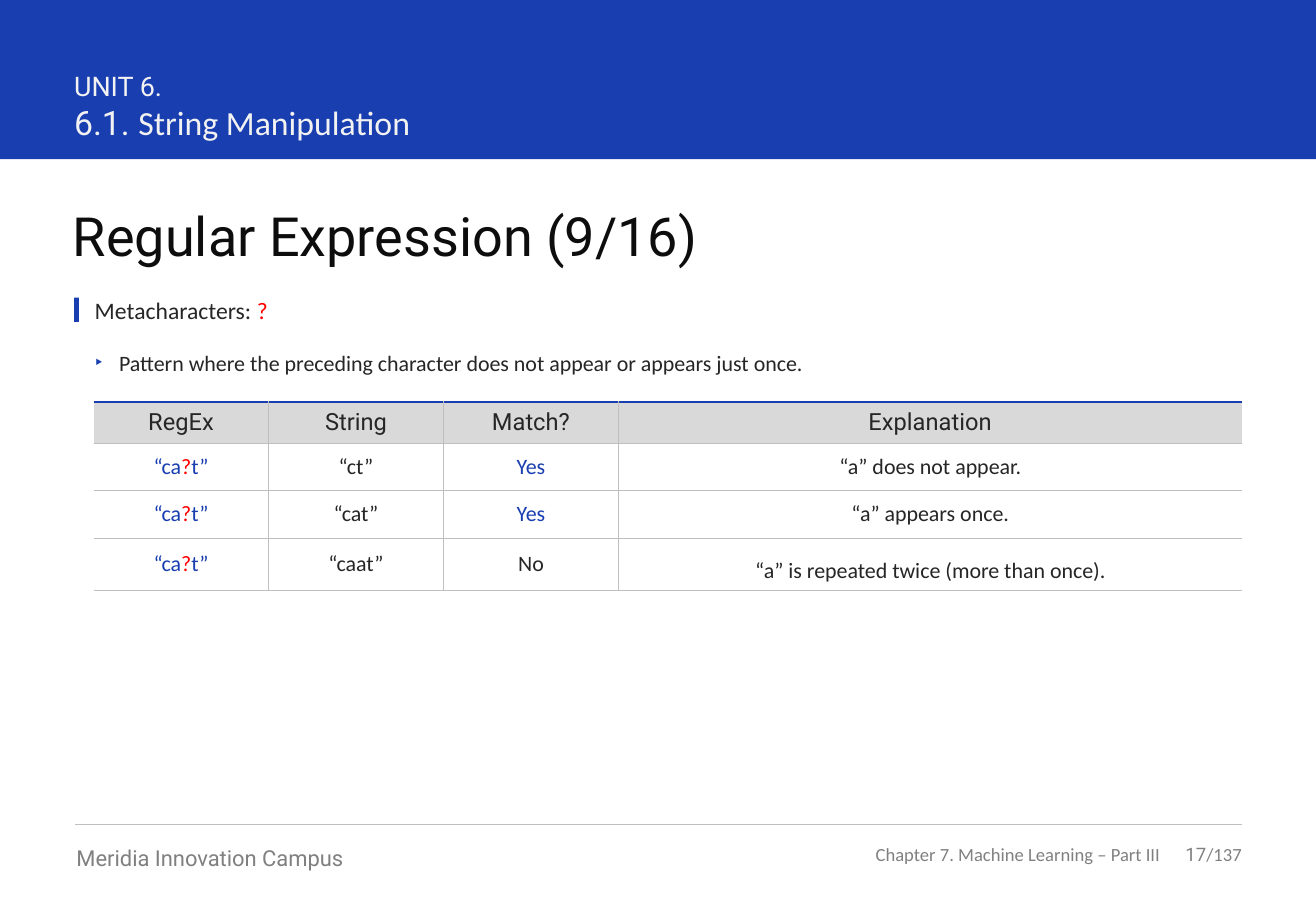
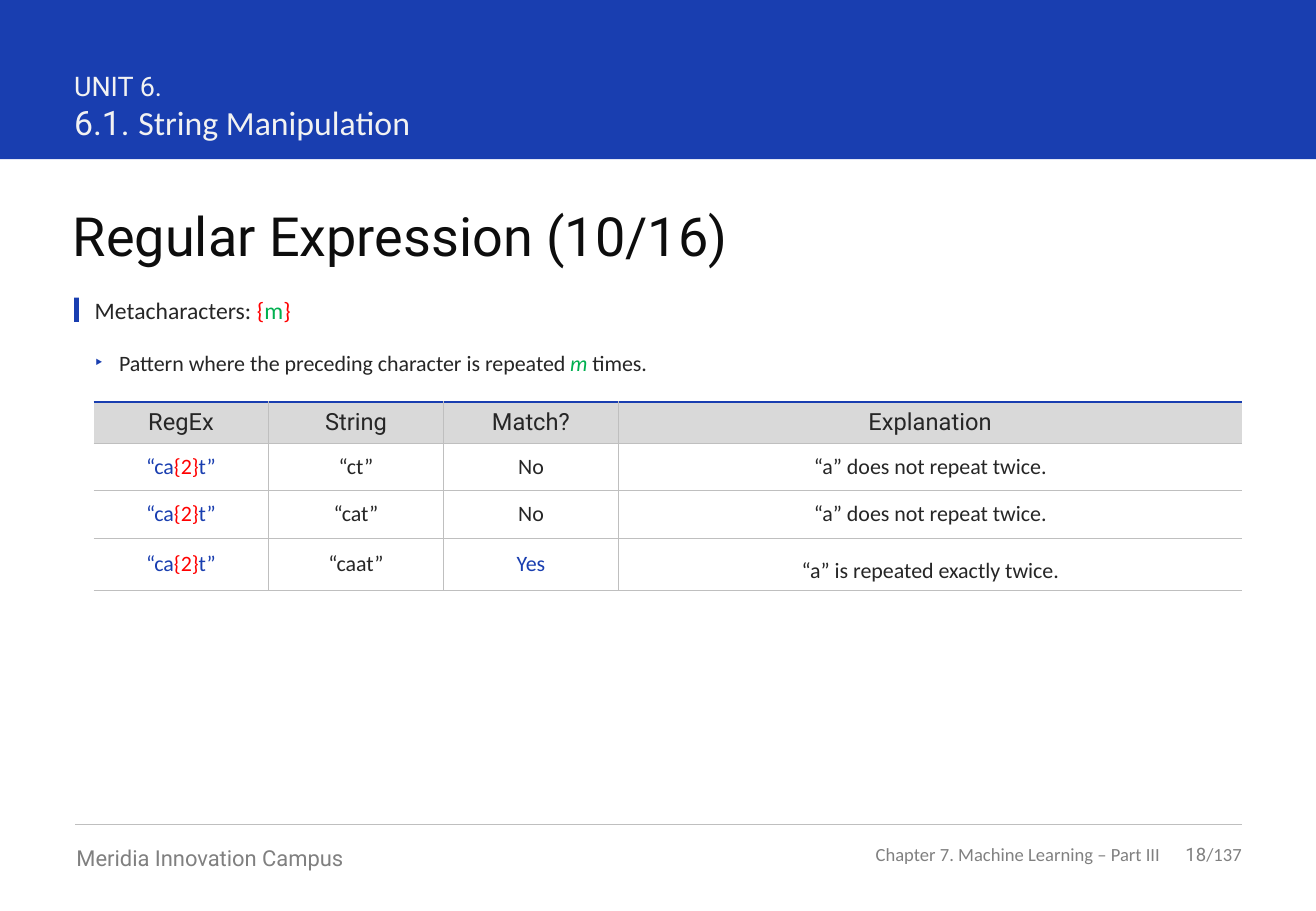
"""Build the two regular-expression slides on the metacharacters ? and {m}."""
from dataclasses import dataclass

from lxml.etree import SubElement
from pptx import Presentation
from pptx.dml.color import RGBColor
from pptx.enum.shapes import MSO_CONNECTOR, MSO_SHAPE
from pptx.enum.text import MSO_ANCHOR as Anchor, MSO_AUTO_SIZE as AutoSize, PP_ALIGN as Align
from pptx.oxml.ns import qn
from pptx.presentation import Presentation as Deck
from pptx.slide import Slide
from pptx.table import _Cell as Cell
from pptx.text.text import TextFrame, _Paragraph as Paragraph
from pptx.util import Inches, Pt


@dataclass(frozen=True)
class Theme:
    blue: str = "193EB0"
    red: str = "FF0000"
    green: str = "00B050"
    white: str = "FFFFFF"
    pale: str = "F2F2F2"
    ink: str = "0D0D0D"
    text: str = "262626"
    muted: str = "808080"
    rule: str = "BFBFBF"
    header: str = "D9D9D9"
    heading_font: str = "Roboto"
    body_font: str = "Calibri"
    title_size: float = 32
    section_size: float = 20
    unit_size: float = 16
    lead_size: float = 14
    body_size: float = 13
    footer_size: float = 11


@dataclass(frozen=True)
class Span:
    text: str
    color: str = "262626"
    italic: bool = False


@dataclass(frozen=True)
class Example:
    string: str
    matches: bool
    explanation: str


@dataclass(frozen=True)
class Topic:
    number: int
    page: int
    lead: tuple[Span, ...]
    rule: tuple[Span, ...]
    operator: str
    examples: tuple[Example, ...]


THEME = Theme()
WIDTH, HEIGHT = 10.83, 7.5
LEFT, RIGHT = 0.61, 10.22
INDENT = 0.78
PAGES = 137
HEADERS = ("RegEx", "String", "Match?", "Explanation")
COLUMN_WIDTHS = (1.44, 1.44, 1.44, 5.13)
ROW_HEIGHTS = (0.34, 0.39, 0.39, 0.43)

TOPICS = (
    Topic(9, 17,
          (Span("Metacharacters: "), Span("?", THEME.red)),
          (Span("Pattern where the preceding character does not appear or appears just once."),),
          "?",
          (Example("“ct”", True, "“a” does not appear."),
           Example("“cat”", True, "“a” appears once."),
           Example("“caat”", False, "“a” is repeated twice (more than once)."))),
    Topic(10, 18,
          (Span("Metacharacters:"), Span(" {", THEME.red), Span("m", THEME.green),
           Span("}", THEME.red)),
          (Span("Pattern where the preceding character is repeated "),
           Span("m", THEME.green, True), Span(" times.")),
          "{2}",
          (Example("“ct”", False, "“a” does not repeat twice."),
           Example("“cat”", False, "“a” does not repeat twice."),
           Example("“caat”", True, "“a” is repeated exactly twice."))),
)


def add_text(p: Paragraph, text: str, *, size: float = THEME.body_size, color: str = THEME.text,
             font: str = THEME.body_font, italic: bool = False) -> None:
    r = p.add_run()
    r.text = text
    r.font.size = Pt(size)
    r.font.name = font
    r.font.italic = italic
    r.font.color.rgb = RGBColor.from_string(color)


def add_spans(p: Paragraph, spans: tuple[Span, ...], size: float = THEME.body_size) -> None:
    for span in spans:
        add_text(p, span.text, size=size, color=span.color, italic=span.italic)


def set_frame(tf: TextFrame, anchor: Anchor = Anchor.TOP,
              insets: tuple[float, float, float, float] = (0, 0, 0, 0)) -> None:
    tf.word_wrap = True
    tf.auto_size = AutoSize.NONE
    tf.vertical_anchor = anchor
    tf.margin_left, tf.margin_top, tf.margin_right, tf.margin_bottom = map(Inches, insets)


def place(sp, left: float, top: float, width: float, height: float) -> None:
    sp.left, sp.top, sp.width, sp.height = map(Inches, (left, top, width, height))


def add_box(s: Slide, left: float, top: float, width: float, height: float,
            align: Align = Align.LEFT, anchor: Anchor = Anchor.TOP) -> TextFrame:
    tf = s.shapes.add_textbox(*map(Inches, (left, top, width, height))).text_frame
    set_frame(tf, anchor)
    tf.paragraphs[0].alignment = align
    return tf


def add_bar(s: Slide, left: float, top: float, width: float, height: float) -> None:
    sp = s.shapes.add_shape(MSO_SHAPE.RECTANGLE, *map(Inches, (left, top, width, height)))
    sp.shadow.inherit = False
    sp.fill.solid()
    sp.fill.fore_color.rgb = RGBColor.from_string(THEME.blue)
    sp.line.fill.background()


def add_frame(s: Slide, page: int) -> None:
    add_bar(s, 0, 0, WIDTH, 1.31)
    tf = add_box(s, LEFT, 0.57, 6.37, 0.61)
    add_text(tf.paragraphs[0], "UNIT 6.", size=THEME.unit_size, color=THEME.pale,
             font=THEME.heading_font)
    p = tf.add_paragraph()
    add_text(p, "6.1. ", size=THEME.section_size, color=THEME.pale, font=THEME.heading_font)
    add_text(p, "String Manipulation", size=THEME.section_size, color=THEME.pale)

    line = s.shapes.add_connector(MSO_CONNECTOR.STRAIGHT,
                                  *map(Inches, (0.62, 6.79, RIGHT, 6.79)))
    line.line.color.rgb = RGBColor.from_string(THEME.rule)
    line.line.width = Pt(0.5)
    SubElement(line._element.spPr, qn("a:effectLst"))

    p = add_box(s, 0.63, 6.95, 3.16, 0.22).paragraphs[0]
    add_text(p, "Meridia Innovation Campus", color=THEME.muted, font=THEME.heading_font)
    p = add_box(s, 7, 6.94, 2.55, 0.19, Align.RIGHT, Anchor.MIDDLE).paragraphs[0]
    add_text(p, "Chapter 7. Machine Learning – Part III", size=THEME.footer_size,
             color=THEME.muted)
    p = add_box(s, 9.55, 6.94, 0.67, 0.19, Align.RIGHT, Anchor.MIDDLE).paragraphs[0]
    add_text(p, str(page), size=THEME.footer_size, color=THEME.muted, font=THEME.heading_font)
    add_text(p, f"/{PAGES}", size=THEME.footer_size, color=THEME.muted)


def add_bullet(p: Paragraph, char: str, indent: float) -> None:
    pPr = p._p.get_or_add_pPr()
    pPr.set("marL", str(Inches(indent)))
    pPr.set("indent", str(-Inches(indent)))
    SubElement(SubElement(pPr, qn("a:buClr")), qn("a:srgbClr"), val=THEME.blue)
    SubElement(pPr, qn("a:buChar"), char=char)


def add_border(cell: Cell, side: str, color: str | None, width: float = 0.5) -> None:
    ln = SubElement(cell._tc.get_or_add_tcPr(), qn(f"a:ln{side}"), w=str(Pt(width)))
    if color is None:
        SubElement(ln, qn("a:noFill"))
    else:
        SubElement(SubElement(ln, qn("a:solidFill")), qn("a:srgbClr"), val=color)


def style_cell(cell: Cell, row: int, col: int) -> Paragraph:
    add_border(cell, "L", THEME.rule if col else None)
    add_border(cell, "R", THEME.rule if col < len(HEADERS) - 1 else None)
    if row:
        add_border(cell, "T", THEME.rule)
    else:
        add_border(cell, "T", THEME.blue, 1)
    add_border(cell, "B", THEME.rule)
    cell.fill.solid()
    cell.fill.fore_color.rgb = RGBColor.from_string(THEME.white if row else THEME.header)
    cell.vertical_anchor = Anchor.MIDDLE
    cell.margin_left = cell.margin_right = Inches(0.11)
    cell.margin_top = cell.margin_bottom = Inches(0.05)
    p = cell.text_frame.paragraphs[0]
    p.alignment = Align.CENTER
    return p


def example_spans(operator: str, example: Example) -> tuple[tuple[Span, ...], ...]:
    pattern = (Span("“ca", THEME.blue), Span(operator, THEME.red), Span("t”", THEME.blue))
    match = Span("Yes", THEME.blue) if example.matches else Span("No")
    return pattern, (Span(example.string),), (match,), (Span(example.explanation),)


def add_examples(s: Slide, topic: Topic) -> None:
    table = s.shapes.add_table(len(ROW_HEIGHTS), len(HEADERS), Inches(0.77), Inches(3.31),
                               Inches(sum(COLUMN_WIDTHS)), Inches(sum(ROW_HEIGHTS))).table
    for column, width in zip(table.columns, COLUMN_WIDTHS):
        column.width = Inches(width)
    for row, height in zip(table.rows, ROW_HEIGHTS):
        row.height = Inches(height)
    for col, header in enumerate(HEADERS):
        add_text(style_cell(table.cell(0, col), 0, col), header, size=THEME.lead_size,
                 font=THEME.heading_font)
    for row, example in enumerate(topic.examples, 1):
        for col, spans in enumerate(example_spans(topic.operator, example)):
            p = style_cell(table.cell(row, col), row, col)
            add_spans(p, spans)
    p.line_spacing = 1.5


def add_topic(prs: Deck, topic: Topic) -> None:
    s = prs.slides.add_slide(prs.slide_layouts[1])
    add_frame(s, topic.page)

    title, body = s.shapes.title, s.placeholders[1]
    place(title, 0.6, 1.67, 9.62, 0.54)
    set_frame(title.text_frame)
    p = title.text_frame.paragraphs[0]
    p.alignment = Align.LEFT
    add_text(p, f"Regular Expression ({topic.number}/16)", size=THEME.title_size,
             color=THEME.ink, font=THEME.heading_font)

    add_bar(s, LEFT, 2.45, 0.04, 0.2)
    p = add_box(s, INDENT, 2.44, RIGHT - INDENT, 0.24).paragraphs[0]
    add_spans(p, topic.lead, THEME.lead_size)

    place(body, INDENT, 2.8, RIGHT - INDENT, 0.38)
    set_frame(body.text_frame, insets=(0, 0.08, 0.16, 0.08))
    p = body.text_frame.paragraphs[0]
    add_bullet(p, "‣", 0.2)
    p.space_before = Pt(0)
    add_spans(p, topic.rule)

    add_examples(s, topic)


def main() -> None:
    prs = Presentation()
    prs.slide_width, prs.slide_height = Inches(WIDTH), Inches(HEIGHT)
    for topic in TOPICS:
        add_topic(prs, topic)
    prs.save("out.pptx")


if __name__ == "__main__":
    main()
